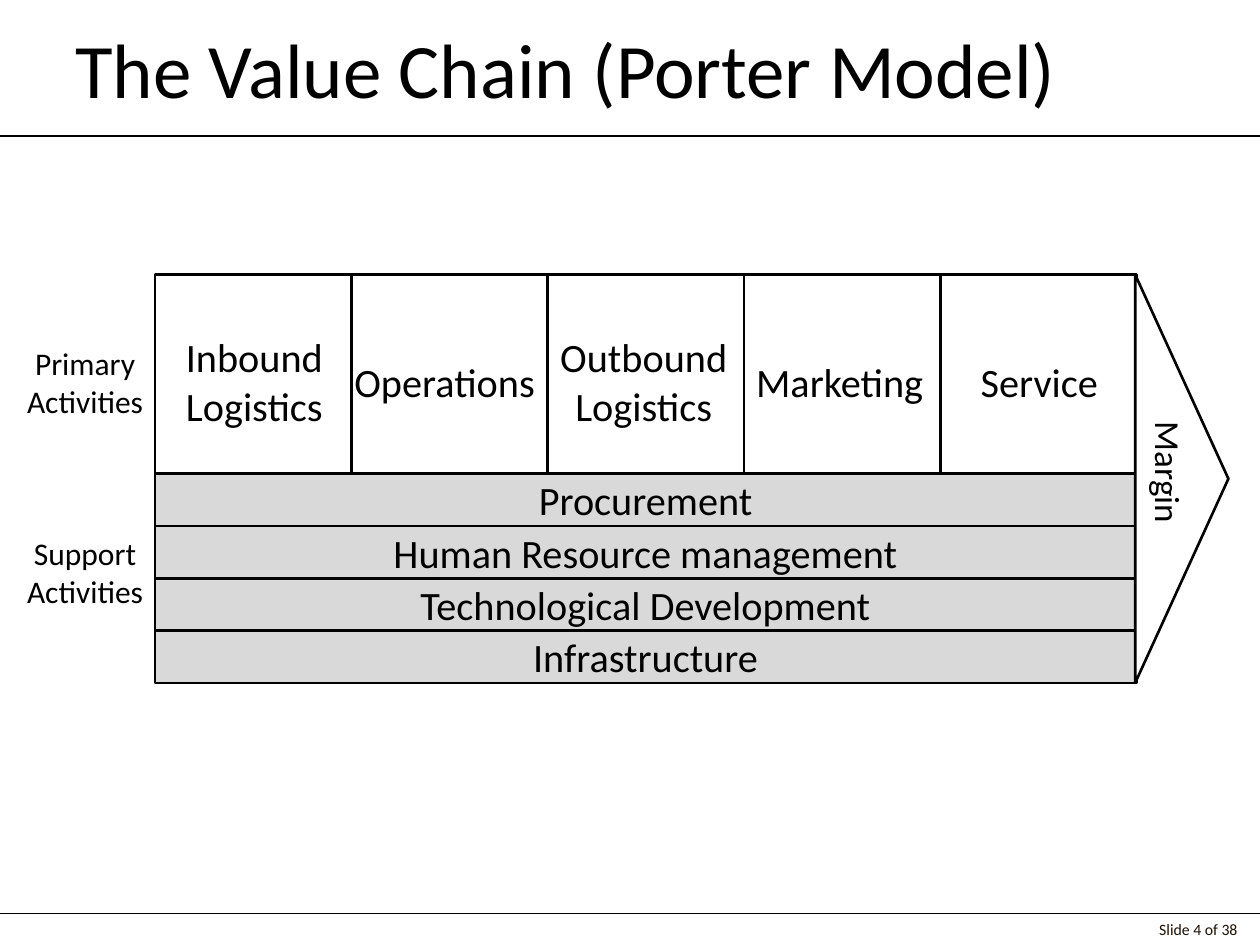
from lxml import etree
from pptx import Presentation
from pptx.dml.color import RGBColor
from pptx.enum.shapes import MSO_CONNECTOR as Connector, MSO_SHAPE as Shape
from pptx.enum.text import MSO_ANCHOR as Anchor, MSO_AUTO_SIZE as AutoSize, PP_ALIGN as Align
from pptx.oxml.ns import qn
from pptx.util import Inches, Pt

BLACK = RGBColor(0x00, 0x00, 0x00)
WHITE = RGBColor(0xFF, 0xFF, 0xFF)
GRAY = RGBColor(0xD9, 0xD9, 0xD9)
BROWN = RGBColor(0x1E, 0x0E, 0x01)

CHAIN_LEFT, CHAIN_TOP = 1.23, 2.18
CHAIN_WIDTH = 7.79
PRIMARY_HEIGHT = 1.58
SUPPORT_TOP = CHAIN_TOP + PRIMARY_HEIGHT
SUPPORT_STEP = 0.415

PRIMARY = [
    ("Inbound Logistics", 1.24, 2.59, 1.56, 0.87),
    ("Operations", 2.63, 2.79, 1.8, 0.49),
    ("Outbound Logistics", 4.22, 2.59, 1.78, 0.87),
    ("Marketing", 5.8, 2.79, 1.73, 0.49),
    ("Service", 7.47, 2.79, 1.56, 0.49),
]
SUPPORT = [
    "Procurement",
    "Human Resource management",
    "Technological Development",
    "Infrastructure",
]


def write(shape, text, size, color=BLACK, align=Align.CENTER, anchor=Anchor.TOP):
    frame = shape.text_frame
    frame.text = text
    frame.word_wrap = True
    frame.vertical_anchor = anchor
    para = frame.paragraphs[0]
    para.alignment = align
    font = para.runs[0].font
    font.name = "Calibri"
    font.size = Pt(size)
    font.color.rgb = color


def add_text(page, text, left, top, width, height, size, **style):
    box = page.shapes.add_textbox(Inches(left), Inches(top), Inches(width), Inches(height))
    write(box, text, size, **style)
    return box


def add_label(page, text, left, top, width, height, size):
    box = add_text(page, text, left, top, width, height, size)
    box.text_frame.auto_size = AutoSize.SHAPE_TO_FIT_TEXT
    return box


def paint(shape, fill):
    shape.shadow.inherit = False
    shape.fill.solid()
    shape.fill.fore_color.rgb = fill
    shape.line.color.rgb = BLACK
    shape.line.width = Pt(1.5)


def add_block(page, left, top, width, height, fill):
    block = page.shapes.add_shape(
        Shape.RECTANGLE, Inches(left), Inches(top), Inches(width), Inches(height)
    )
    paint(block, fill)
    return block


def add_rule(page, top, weight):
    rule = page.shapes.add_connector(
        Connector.STRAIGHT, Inches(0), Inches(top), Inches(10), Inches(top)
    )
    rule.line.color.rgb = BLACK
    rule.line.width = Pt(weight)
    etree.SubElement(rule._element.spPr, qn("a:effectLst"))


def add_support_rows(page):
    for index, text in enumerate(SUPPORT):
        top = SUPPORT_TOP + index * SUPPORT_STEP
        row = add_block(page, CHAIN_LEFT, top, CHAIN_WIDTH, SUPPORT_STEP, GRAY)
        write(row, text, 23, anchor=Anchor.MIDDLE)


def add_primary_cells(page):
    width = CHAIN_WIDTH / len(PRIMARY)
    for index, label in reversed(list(enumerate(PRIMARY))):
        add_block(page, CHAIN_LEFT + index * width, CHAIN_TOP, width, PRIMARY_HEIGHT, WHITE)
        add_label(page, *label, size=23)


def add_margin(page):
    builder = page.shapes.build_freeform(Inches(9.01), Inches(CHAIN_TOP), scale=1.0)
    builder.add_line_segments(
        [(Inches(9.75), Inches(3.8)), (Inches(9.01), Inches(5.42))], close=True
    )
    paint(builder.convert_to_shape(), WHITE)
    label = add_label(page, "Margin", 8.61, 3.53, 1.33, 0.44, 20)
    label.rotation = 90


def main():
    deck = Presentation()
    deck.slide_width = Inches(10)
    deck.slide_height = Inches(7.5)
    page = deck.slides.add_slide(deck.slide_layouts[6])

    add_text(page, "Slide 4 of 38", 8.75, 7.25, 1.17, 0.25, 9,
             color=BROWN, align=Align.RIGHT, anchor=Anchor.MIDDLE)
    add_rule(page, 1.08, 1.5)
    add_rule(page, 7.25, 0.5)
    add_text(page, "The Value Chain (Porter Model)", 0.5, 0.08, 9, 0.92, 44,
             align=Align.LEFT, anchor=Anchor.MIDDLE)
    add_support_rows(page)
    add_label(page, "Support Activities", 0.02, 4.19, 1.31, 0.7, 18)
    add_label(page, "Primary Activities", 0.02, 2.68, 1.31, 0.7, 18)
    add_primary_cells(page)
    add_margin(page)

    deck.save("out.pptx")


if __name__ == "__main__":
    main()
